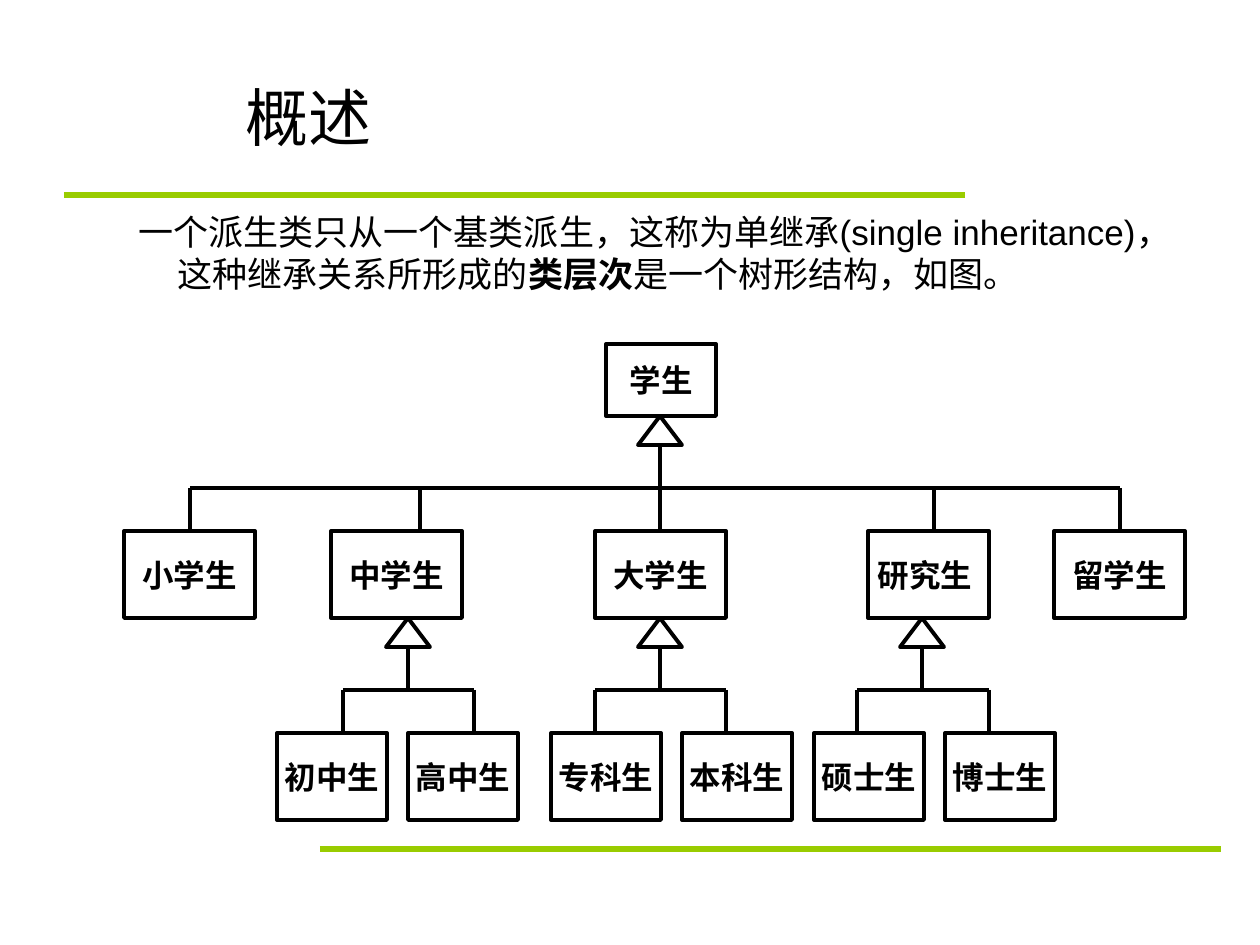
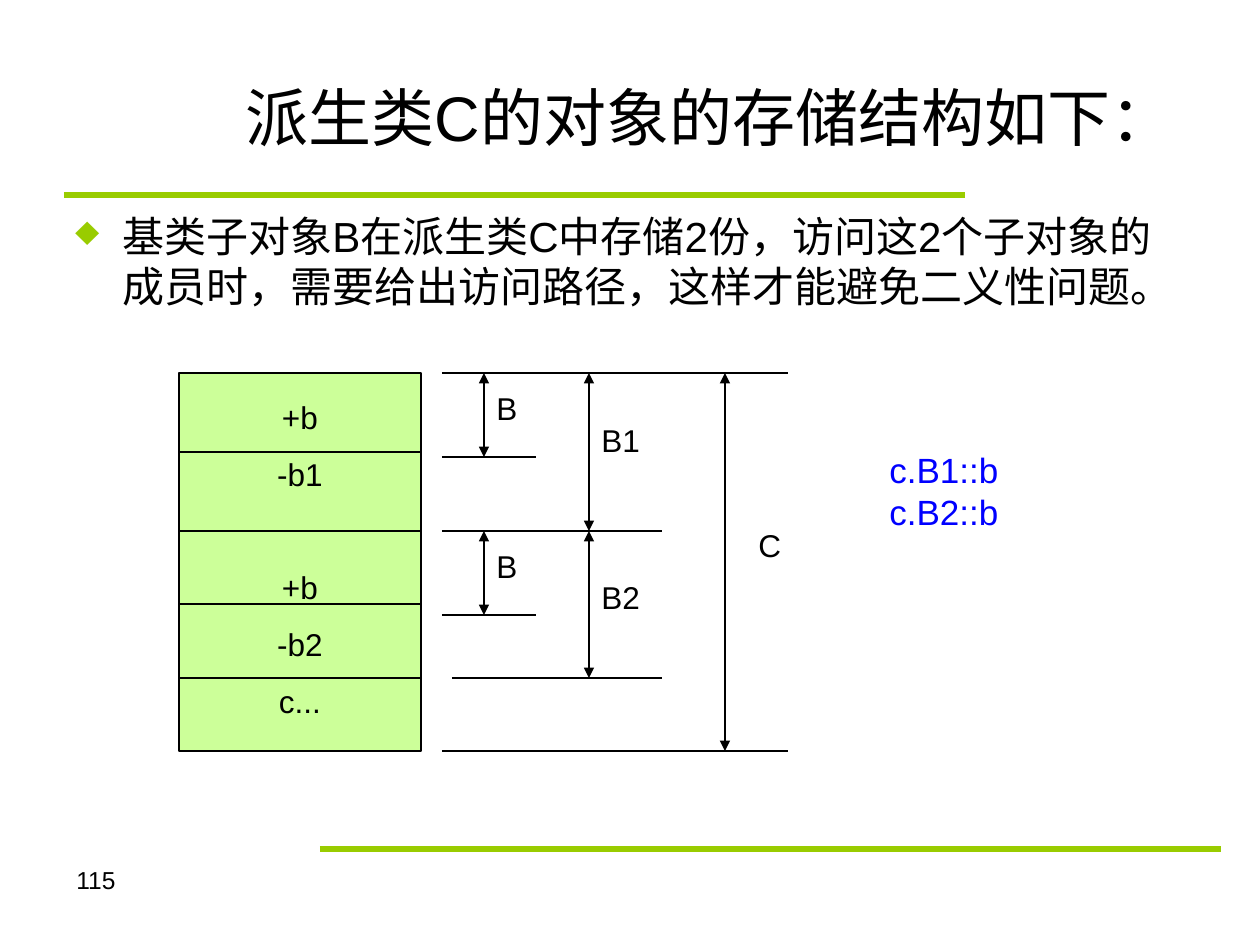
"""Build two slides on C++ inheritance: a class hierarchy and an object layout."""
import pptx
import pptx.dml.color
import pptx.enum.shapes
import pptx.enum.text
import pptx.oxml
import pptx.oxml.ns
import pptx.util
from lxml import etree

PX = 7257
BLACK, GREEN, PALE, BLUE = "000000", "99CC00", "CCFF99", "0000FF"
LATIN, CJK = "Arial", "Noto Sans CJK SC"
SHAPE = pptx.enum.shapes.MSO_SHAPE
ALIGN = pptx.enum.text.PP_ALIGN
ANCHOR = pptx.enum.text.MSO_ANCHOR
rgb = pptx.dml.color.RGBColor.from_string
qn = pptx.oxml.ns.qn


def add_run(p, text, size, color=BLACK, bold=False, font=LATIN):
    """Append one formatted run to a paragraph."""
    r = p.add_run()
    r.text = text
    r.font.size = pptx.util.Pt(size)
    r.font.bold = bold
    r.font.name = font
    r.font.color.rgb = rgb(color)
    etree.SubElement(r.font._element, qn("a:ea")).set("typeface", CJK)


def add_line(s, x1, y1, x2, y2, width, color=BLACK, arrows=False):
    """Draw a straight line, with arrowheads at both ends on request."""
    c = s.shapes.add_connector(pptx.enum.shapes.MSO_CONNECTOR.STRAIGHT,
                               x1 * PX, y1 * PX, x2 * PX, y2 * PX)
    c.line.width = pptx.util.Pt(width)
    c.line.color.rgb = rgb(color)
    if arrows:
        for end in ("a:headEnd", "a:tailEnd"):
            etree.SubElement(c.line._get_or_add_ln(), qn(end)).set("type", "triangle")
    etree.SubElement(c._element.spPr, qn("a:effectLst"))


prs = pptx.Presentation()
prs.slide_width, prs.slide_height = 1260 * PX, 945 * PX

slides, bodies = [], []
for title in ("概述", "派生类C的对象的存储结构如下："):
    s = prs.slides.add_slide(prs.slide_layouts[5])
    add_line(s, 64, 195, 965, 195, 3, GREEN)
    add_line(s, 320, 849, 1221, 849, 3, GREEN)
    sp = s.shapes.title
    sp.left, sp.top, sp.width, sp.height = 233 * PX, 38 * PX, 964 * PX, 157 * PX
    tf = sp.text_frame
    tf.auto_size = pptx.enum.text.MSO_AUTO_SIZE.NONE
    tf.vertical_anchor = ANCHOR.MIDDLE
    p = tf.paragraphs[0]
    p.alignment = ALIGN.LEFT
    add_run(p, title, 36)
    sp = s.shapes.add_textbox(63 * PX, 204 * PX, 1134 * PX, 635 * PX)
    sp.text_frame.word_wrap = True
    slides.append(s)
    bodies.append(sp.text_frame.paragraphs[0])

s, p = slides[0], bodies[0]
pPr = p._p.get_or_add_pPr()
pPr.set("marL", str(102 * PX))
pPr.set("indent", str(-39 * PX))
for text, font, bold in (
    ("一个派生类只从一个基类派生，这称为单继承", CJK, False),
    ("(single inheritance)", LATIN, False),
    ("，这种继承关系所形成的", CJK, False),
    ("类层次", CJK, True),
    ("是一个树形结构，如图。", CJK, False),
):
    add_run(p, text, 20, bold=bold, font=font)

for x, bottom, children in (
    (660, 416, (190, 420, 660, 934, 1120)),
    (408, 618, (343, 474)),
    (660, 618, (595, 726)),
    (922, 618, (857, 989)),
):
    sp = s.shapes.add_shape(SHAPE.ISOSCELES_TRIANGLE,
                            (x - 22) * PX, bottom * PX, 44 * PX, 29 * PX)
    sp.shadow.inherit = False
    sp.fill.background()
    sp.line.color.rgb = rgb(BLACK)
    sp.line.width = pptx.util.Pt(2.25)
    bus = bottom + 72
    add_line(s, x, bottom + 29, x, bus, 2.25)
    add_line(s, children[0], bus, children[-1], bus, 2.25)
    for child in children:
        add_line(s, child, bus, child, bus + 43, 2.25)

for y, h, classes in (
    (344, 72, (("学生", 606, 110),)),
    (531, 87, (("小学生", 124, 131), ("中学生", 331, 131), ("大学生", 595, 131),
               ("研究生 ", 868, 121), ("留学生", 1054, 131))),
    (733, 87, (("初中生", 277, 110), ("高中生", 408, 110), ("专科生", 551, 110),
               ("本科生", 682, 110), ("硕士生", 814, 110), ("博士生", 945, 110))),
):
    for name, x, w in classes:
        sp = s.shapes.add_shape(SHAPE.RECTANGLE, x * PX, y * PX, w * PX, h * PX)
        sp.shadow.inherit = False
        sp.fill.background()
        sp.line.color.rgb = rgb(BLACK)
        sp.line.width = pptx.util.Pt(2.25)
        tf = sp.text_frame
        tf.word_wrap = False
        tf.vertical_anchor = ANCHOR.MIDDLE
        p = tf.paragraphs[0]
        p.alignment = ALIGN.CENTER
        add_run(p, name, 18, bold=True)

s, p = slides[1], bodies[1]
pPr = p._p.get_or_add_pPr()
pPr.set("marL", str(47 * PX))
pPr.set("indent", str(-47 * PX))
color = etree.SubElement(pPr, qn("a:buClr"))
etree.SubElement(color, qn("a:srgbClr")).set("val", GREEN)
etree.SubElement(pPr, qn("a:buChar")).set("char", "♦")
add_run(p, "基类子对象B在派生类C中存储2份，访问这2个子对象的成员时，"
           "需要给出访问路径，这样才能避免二义性问题。", 24)

sp = s.shapes.add_shape(SHAPE.RECTANGLE, 179 * PX, 373 * PX, 242 * PX, 378 * PX)
sp.shadow.inherit = False
sp.fill.solid()
sp.fill.fore_color.rgb = rgb(PALE)
sp.line.color.rgb = rgb(BLACK)
sp.line.width = pptx.util.Pt(0.75)
tf = sp.text_frame
tf.word_wrap = False
tf.vertical_anchor = ANCHOR.TOP
for i, (member, gap) in enumerate((("+b", 0), ("-b1", 0), ("+b", 32.4), ("-b2", 0), ("c...", 0))):
    p = tf.add_paragraph() if i else tf.paragraphs[0]
    p.alignment = ALIGN.CENTER
    p.line_spacing = 1.5
    if gap:
        p.space_before = pptx.util.Pt(gap)
    add_run(p, member, 18)

for y in (452, 531, 604, 678):
    add_line(s, 179, y, 421, y, 0.75)
for x1, x2, y in ((442, 788, 373), (442, 788, 751), (442, 536, 457),
                  (452, 662, 678), (442, 536, 615), (442, 662, 531)):
    add_line(s, x1, y, x2, y, 0.75)
for x, y1, y2 in ((484, 373, 457), (484, 531, 615), (589, 373, 531),
                  (589, 531, 678), (725, 373, 751)):
    add_line(s, x, y1, x, y2, 0.75, arrows=True)

for lines, x, y, w, h, size, color in (
    (("B",), 484, 383, 53, 50, 18, BLACK),
    (("B",), 484, 541, 53, 50, 18, BLACK),
    (("B1",), 589, 415, 84, 50, 18, BLACK),
    (("B2",), 589, 572, 84, 50, 18, BLACK),
    (("C",), 746, 520, 53, 50, 18, BLACK),
    (("c.B1::b", "c.B2::b"), 877, 442, 248, 97, 20, BLUE),
    (("115",), 64, 859, 179, 66, 14, BLACK),
):
    tf = s.shapes.add_textbox(x * PX, y * PX, w * PX, h * PX).text_frame
    tf.word_wrap = True
    for i, text in enumerate(lines):
        p = tf.add_paragraph() if i else tf.paragraphs[0]
        add_run(p, text, size, color)

prs.save("out.pptx")
